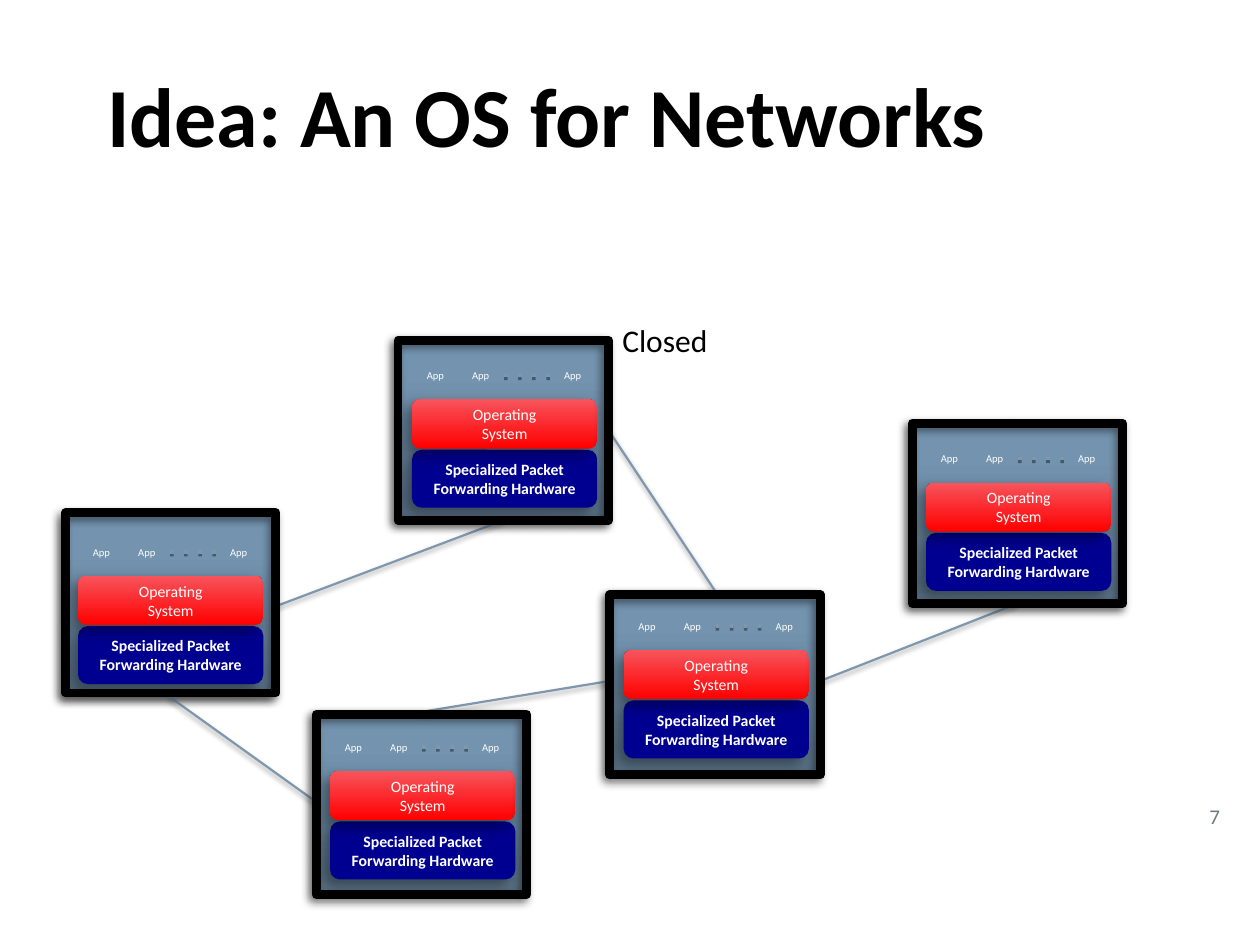
import pptx
import pptx.util
import pptx.dml.color
import pptx.enum.shapes
import pptx.enum.text
import pptx.oxml.ns
from lxml import etree
from pptx.util import Inches, Pt

qn = pptx.oxml.ns.qn
SHAPE = pptx.enum.shapes.MSO_SHAPE
ALIGN = pptx.enum.text.PP_ALIGN
ANCHOR = pptx.enum.text.MSO_ANCHOR

FONT = "Calibri"
BOX_W, BOX_H = 1.67, 1.43
# name: left, top, frame offset (x, y)
DEVICES = {
    "west": (0.51, 4.1, 0.01, -0.03),
    "north": (3.16, 2.7, 0, 0),
    "east": (7.24, 3.36, 0, 0),
    "south": (2.51, 5.65, 0, 0.02),
    "center": (4.84, 4.69, 0, 0.03),
}
TOP, LEFT, BOTTOM, RIGHT = range(4)  # connection sites of a rectangle
LINKS = [
    ("west", RIGHT, "north", BOTTOM),
    ("north", RIGHT, "center", TOP),
    ("south", TOP, "center", LEFT),
    ("west", BOTTOM, "south", LEFT),
    ("center", RIGHT, "east", BOTTOM),
]
APP_OFFSETS = [0.13, 0.49, 1.22]
DOTS_FROM, DOTS_TO, DOTS_Y = 0.84, 1.21, 0.28
# text lines, offset from top, height, fill, bold
LAYERS = [
    (["Specialized Packet Forwarding Hardware"], 0.87, 0.46, ["000090"], True),
    (["Operating", "System"], 0.47, 0.39, ["FF0000", "F7545C"], False),
]
# opacity %, blur pt, distance pt, angle
BOX_SHADOW = (45, 5, 3, 135)
LAYER_SHADOW = (40, 8, 5, 135)
LINK_SHADOW = (38, 3.1, 1.6, 90)
DOTS_SHADOW = (38, 0, 1.6, 90)


def rgb(hex_color):
    return pptx.dml.color.RGBColor.from_string(hex_color)


def write(tf, lines, size, color="FFFFFF", bold=False, align=ALIGN.CENTER,
          anchor=ANCHOR.MIDDLE, wrap=True, inset=None, spacing=None):
    tf.word_wrap = wrap
    tf.vertical_anchor = anchor
    if inset is not None:
        tf.margin_left = tf.margin_right = Inches(inset)
        tf.margin_top = tf.margin_bottom = Inches(inset)
    for i, line in enumerate(lines):
        p = tf.add_paragraph() if i else tf.paragraphs[0]
        p.alignment = align
        p.line_spacing = spacing
        r = p.add_run()
        r.text = line
        r.font.name, r.font.size, r.font.bold = FONT, Pt(size), bold
        r.font.color.rgb = rgb(color)


def add_shadow(sp, opacity, blur, distance, angle):
    """Append the effect list; call it once fill and line are set."""
    effects = etree.SubElement(sp._element.spPr, qn("a:effectLst"))
    shadow = etree.SubElement(
        effects, qn("a:outerShdw"), blurRad=str(Pt(blur)), dist=str(Pt(distance)),
        dir=str(angle * 60000), algn="ctr", rotWithShape="0")
    color = etree.SubElement(shadow, qn("a:srgbClr"), val="000000")
    etree.SubElement(color, qn("a:alpha"), val=str(opacity * 1000))


def add_box(shapes, kind, x, y, w, h, shadow, fill=(), last_stop=1, line=None, width=1):
    """Fill is empty, one colour, or a bottom and a top colour."""
    sp = shapes.add_shape(kind, Inches(x), Inches(y), Inches(w), Inches(h))
    if len(fill) == 2:
        sp.fill.gradient()
        sp.fill.gradient_angle = 90
        for stop, color, pos in zip(sp.fill.gradient_stops, fill, (0, last_stop)):
            stop.color.rgb = rgb(color)
            stop.position = pos
    elif fill:
        sp.fill.solid()
        sp.fill.fore_color.rgb = rgb(fill[0])
    else:
        sp.fill.background()
    if line:
        sp.line.color.rgb = rgb(line)
        sp.line.width = Pt(width)
    else:
        sp.line.fill.background()
    add_shadow(sp, *shadow)
    return sp


def add_line(shapes, start, end, width):
    sp = shapes.add_connector(pptx.enum.shapes.MSO_CONNECTOR.STRAIGHT,
                              *(Inches(v) for v in (*start, *end)))
    sp.line.color.rgb = rgb("7E97AD")
    sp.line.width = Pt(width)
    return sp


def add_text(shapes, text, x, y, w, h, size, **fmt):
    sp = shapes.add_textbox(Inches(x), Inches(y), Inches(w), Inches(h))
    write(sp.text_frame, [text], size, **fmt)
    return sp


def add_device(shapes, x, y):
    box = add_box(shapes, SHAPE.RECTANGLE, x, y, BOX_W, BOX_H, BOX_SHADOW,
                  ["597186", "7393AE"], last_stop=0.8, line="7A94AA", width=0.75)
    for lines, dy, h, fill, bold in LAYERS:
        layer = add_box(shapes, SHAPE.ROUNDED_RECTANGLE, x + 0.11, y + dy, 1.47, h,
                        LAYER_SHADOW, fill)
        write(layer.text_frame, lines, 9, bold=bold)
    apps = shapes.add_group_shape().shapes
    for dx in APP_OFFSETS:
        add_text(apps, "App", x + dx, y + 0.11, 0.33, 0.34, 6, inset=0)
    dots = add_line(apps, (x + DOTS_FROM, y + DOTS_Y), (x + DOTS_TO, y + DOTS_Y), 2)
    etree.SubElement(dots._element.spPr.find(qn("a:ln")), qn("a:prstDash"), val="dot")
    add_shadow(dots, *DOTS_SHADOW)
    return box


def main():
    prs = pptx.Presentation()
    prs.slide_width, prs.slide_height = Inches(10), Inches(7.5)
    s = prs.slides.add_slide(prs.slide_layouts[5])

    title = s.shapes.title
    title.left, title.top = Inches(0.75), Inches(0.33)
    title.width, title.height = Inches(7.92), Inches(1.25)
    write(title.text_frame, ["Idea: An OS for Networks"], 48, color="000000",
          bold=True, align=ALIGN.LEFT, spacing=0.9)

    boxes = {name: add_device(s.shapes, x, y) for name, (x, y, _, _) in DEVICES.items()}
    for start, start_site, end, end_site in LINKS:
        link = add_line(s.shapes, (0, 0), (1, 1), 1.25)
        link.begin_connect(boxes[start], start_site)
        link.end_connect(boxes[end], end_site)
        add_shadow(link, *LINK_SHADOW)
    for x, y, dx, dy in DEVICES.values():
        add_box(s.shapes, SHAPE.RECTANGLE, x + dx, y + dy, BOX_W, BOX_H, BOX_SHADOW,
                line="000000", width=5)

    closed = add_text(s.shapes, "Closed", 4.84, 2.5, 0.88, 0.4, 18, color="000000",
                      align=ALIGN.LEFT, anchor=ANCHOR.TOP, wrap=False)
    closed.text_frame.auto_size = pptx.enum.text.MSO_AUTO_SIZE.SHAPE_TO_FIT_TEXT
    add_text(s.shapes, "7", 9.5, 6.28, 0.42, 0.4, 12, color="727A81", align=ALIGN.LEFT)
    prs.save("out.pptx")


if __name__ == "__main__":
    main()
